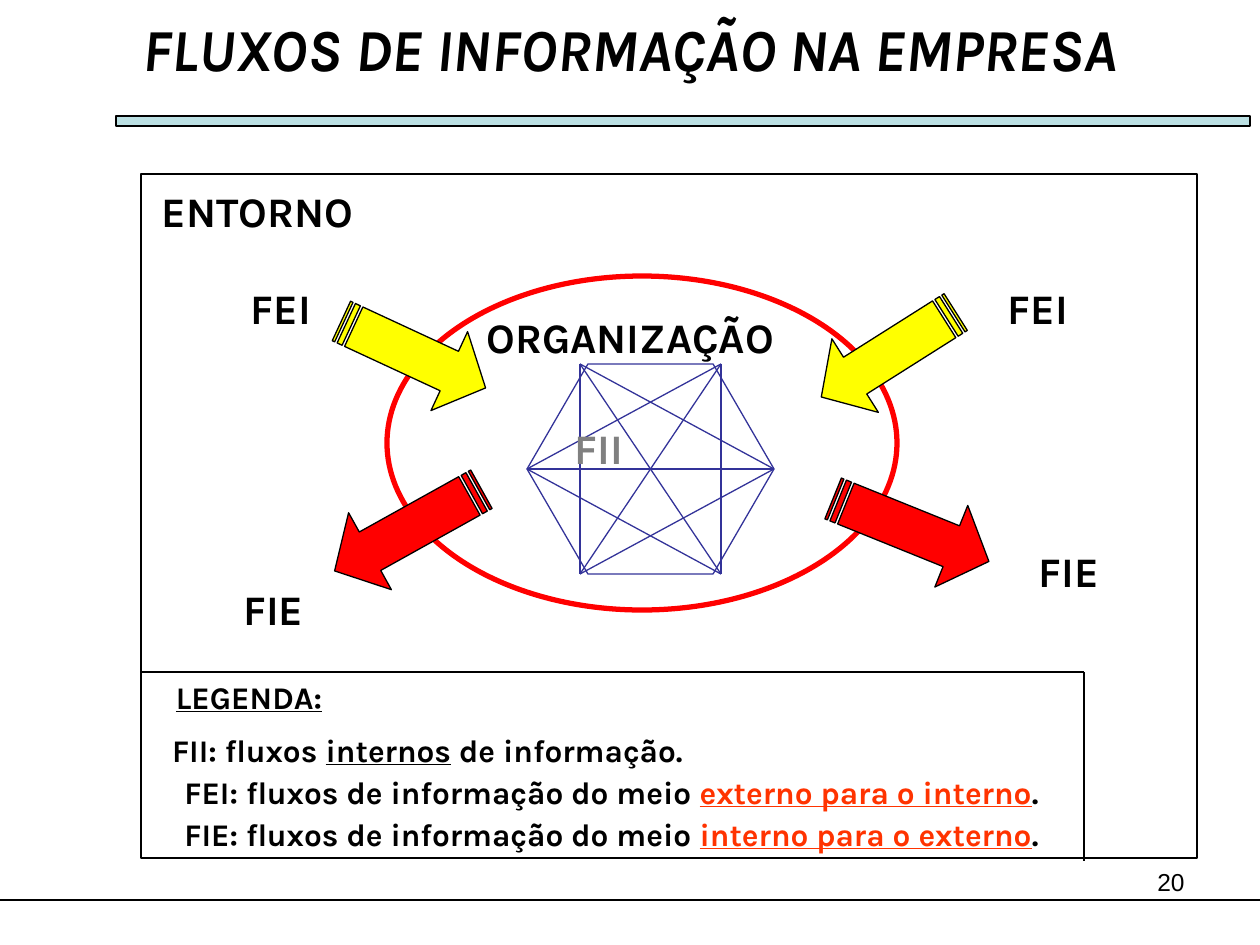
"""Build the slide on information flows in a company."""
from itertools import combinations

from lxml import etree
from pptx import Presentation
from pptx import util as u
from pptx.dml.color import RGBColor
from pptx.enum import shapes, text
from pptx.oxml import ns

SCALE = 914400 / 126
FONT = "Karla"
COLORS = {
    "black": "000000", "white": "FFFFFF", "bar": "BBE0E3", "yellow": "FFFF00",
    "red": "FF0000", "net": "333399", "gray": "808080", "accent": "FF3300",
}
LEFT, CENTER, RIGHT = text.PP_ALIGN.LEFT, text.PP_ALIGN.CENTER, text.PP_ALIGN.RIGHT

BAR = (116, 116, 1134, 10)
FRAME = (141, 174, 1056, 684)
ORGANIZATION = (387, 276, 510, 334)
NETWORK = (527, 364, 247, 210)
NETWORK_INSET = 53
RULES = [(0, 900, 1260, 900)]
LEGEND_RULES = [(141, 672, 1084, 672), (1084, 672, 1084, 861)]

ARROWS = [
    ((809, 311, 159, 87), 147.7, "yellow"),
    ((334, 311, 159, 87), 24.9, "yellow"),
    ((827, 486, 168, 88), 22, "red"),
    ((324, 486, 168, 88), 150.9, "red"),
]
LABELS = [
    ("ENTORNO", (149, 179, 246, 57), LEFT, "black"),
    ("ORGANIZAÇÃO", (474, 305, 357, 63), LEFT, "black"),
    ("FEI", (985, 276, 106, 53), CENTER, "black"),
    ("FEI", (228, 276, 106, 53), CENTER, "black"),
    ("FIE", (222, 577, 103, 53), CENTER, "black"),
    ("FIE", (1013, 539, 112, 59), CENTER, "black"),
    ("FII", (562, 416, 106, 53), LEFT, "gray"),
]
LEGEND = [
    ((139, 672, 220, 50), [("LEGENDA:", "black", True)]),
    ((139, 725, 577, 50), [("FII: fluxos ", "black", False), ("internos", "black", True),
                           (" de informação.", "black", False)]),
    ((139, 767, 945, 50), [("FEI: fluxos de informação do meio ", "black", False),
                           ("externo para o interno", "accent", True), (".", "black", False)]),
    ((139, 809, 945, 50), [("FIE: fluxos de informação do meio ", "black", False),
                           ("interno para o externo", "accent", True), (".", "black", False)]),
]


def emu(*lengths):
    return [u.Emu(round(length * SCALE)) for length in lengths]


def color(name):
    return RGBColor.from_string(COLORS[name])


def add_shape(slide, kind, box, fill=None, line="black", width=0.75):
    shape = slide.shapes.add_shape(kind, *emu(*box))
    shape.shadow.inherit = False
    if fill:
        shape.fill.solid()
        shape.fill.fore_color.rgb = color(fill)
    else:
        shape.fill.background()
    shape.line.color.rgb = color(line)
    shape.line.width = u.Pt(width)
    return shape


def add_line(slide, ends, line="black"):
    connector = slide.shapes.add_connector(shapes.MSO_CONNECTOR.STRAIGHT, *emu(*ends))
    connector.line.color.rgb = color(line)
    connector.line.width = u.Pt(0.75)
    etree.SubElement(connector.element.spPr, ns.qn("a:effectLst"))


def add_text(slide, box, runs, size, align, bold=True, italic=False, font=FONT):
    frame = slide.shapes.add_textbox(*emu(*box)).text_frame
    frame.word_wrap = True
    paragraph = frame.paragraphs[0]
    paragraph.alignment = align
    for words, name, underline in runs:
        run = paragraph.add_run()
        run.text = words
        run.font.name, run.font.size = font, u.Pt(size)
        run.font.bold, run.font.italic, run.font.underline = bold, italic, underline
        run.font.color.rgb = color(name)


def add_network(slide):
    left, top, width, height = NETWORK
    hexagon = add_shape(slide, shapes.MSO_SHAPE.HEXAGON, NETWORK, "white", "net")
    hexagon.adjustments[0] = 0.29
    right, bottom, middle = left + width, top + height, top + height / 2
    near, far = left + NETWORK_INSET, right - NETWORK_INSET
    corners = [(left, middle), (near, top), (far, top),
               (right, middle), (far, bottom), (near, bottom)]
    for first, second in combinations(range(6), 2):
        if second - first not in (1, 5):
            add_line(slide, corners[first] + corners[second], "net")


def main():
    presentation = Presentation()
    presentation.slide_width, presentation.slide_height = emu(1260, 945)
    slide = presentation.slides.add_slide(presentation.slide_layouts[6])

    add_shape(slide, shapes.MSO_SHAPE.RECTANGLE, BAR, "bar")
    add_shape(slide, shapes.MSO_SHAPE.RECTANGLE, FRAME)
    add_shape(slide, shapes.MSO_SHAPE.OVAL, ORGANIZATION, line="red", width=3)
    for box, angle, fill in ARROWS:
        arrow = add_shape(slide, shapes.MSO_SHAPE.STRIPED_RIGHT_ARROW, box, fill)
        arrow.rotation = angle
        arrow.adjustments[1] = 0.46
    add_network(slide)
    for ends in RULES + LEGEND_RULES:
        add_line(slide, ends)

    add_text(slide, (0, 6, 1260, 84), [("FLUXOS DE INFORMAÇÃO NA EMPRESA", "black", False)],
             34, CENTER, italic=True)
    for words, box, align, name in LABELS:
        add_text(slide, box, [(words, name, False)], 24, align)
    for box, runs in LEGEND:
        add_text(slide, box, runs, 18, CENTER)
    add_text(slide, (903, 861, 294, 66), [("20", "black", False)], 14, RIGHT,
             bold=False, font="Arial")
    presentation.save("out.pptx")


if __name__ == "__main__":
    main()
